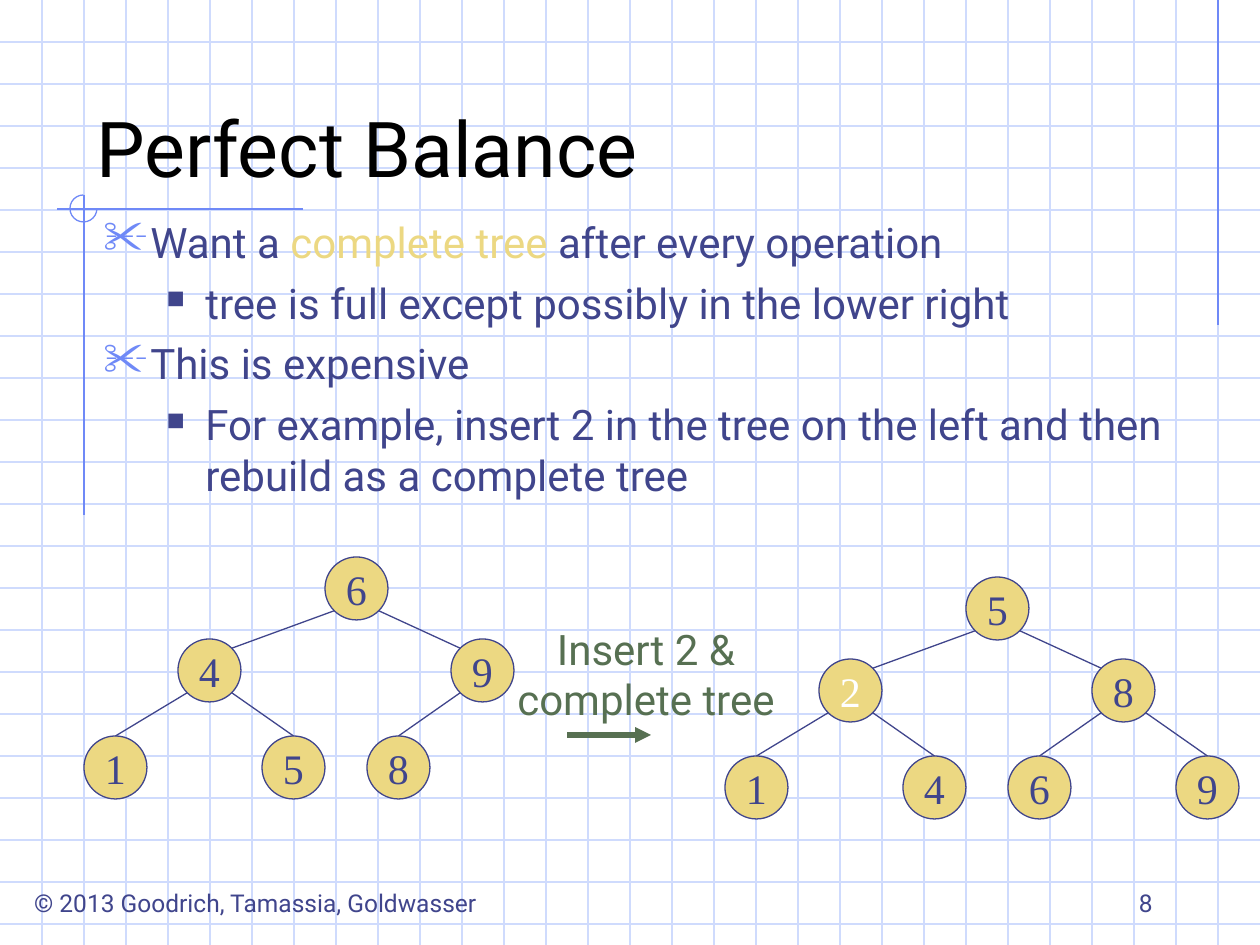
"""Build the Perfect Balance slide: two search trees before and after an insertion."""
import dataclasses
import math
import typing

import lxml.etree
import pptx
import pptx.dml.color
import pptx.enum.shapes
import pptx.enum.text
import pptx.oxml.ns
import pptx.util

RGBColor = pptx.dml.color.RGBColor
ALIGN = pptx.enum.text.PP_ALIGN
ANCHOR = pptx.enum.text.MSO_ANCHOR
SHAPE = pptx.enum.shapes.MSO_SHAPE

BLACK = RGBColor(0x00, 0x00, 0x00)
WHITE = RGBColor(0xFF, 0xFF, 0xFF)
GRID = RGBColor(0xCF, 0xDB, 0xFD)
ACCENT = RGBColor(0x6F, 0x89, 0xF7)
INK = RGBColor(0x40, 0x45, 0x8C)
GOLD = RGBColor(0xEC, 0xD8, 0x82)
GREEN = RGBColor(0x57, 0x70, 0x52)

SANS = "Roboto"
SERIF = "Times New Roman"
PX_PER_INCH = 126
WIDTH, HEIGHT, GRID_STEP = 1260, 945, 42
NODE = 63
SLOTS = [(0, 0), (-147, 82), (126, 82), (-241, 179), (-63, 179), (42, 179), (210, 179)]


@dataclasses.dataclass(frozen=True)
class Tree:
    """Keys in level order, the place of the root, and the key just inserted."""

    left: int
    top: int
    keys: str
    inserted: str = ""


@dataclasses.dataclass(frozen=True)
class Bullet:
    """Look of one outline level."""

    level: int
    mark: str
    color: RGBColor
    percent: int
    margin: int
    hanging: int


@dataclasses.dataclass(frozen=True)
class Line:
    """A straight stroke between two points."""

    x1: float
    y1: float
    x2: float
    y2: float
    color: RGBColor
    points: float = 0.75
    arrow: bool = False


POINT = Bullet(0, "✂", ACCENT, 110, 47, 47)
DETAIL = Bullet(1, "■", INK, 60, 102, 39)
OUTLINE = [
    (POINT, [("Want a ", INK), ("complete tree ", GOLD), ("after every operation", INK)]),
    (DETAIL, [("tree is full except possibly in the lower right", INK)]),
    (POINT, [("This is expensive", INK)]),
    (DETAIL, [("For example, insert 2 in the tree on the left and then rebuild as a complete tree", INK)]),
]
TREES = [Tree(325, 557, "649158"), Tree(966, 577, "5281469", inserted="2")]
DECORATION = [
    Line(1218, 0, 1218, 325, ACCENT),
    Line(303, 209, 57, 209, ACCENT),
    Line(84, 195, 84, 515, ACCENT),
]


def px(length: float) -> pptx.util.Emu:
    """Turn pixels into EMU."""
    return pptx.util.Emu(round(length * 914400 / PX_PER_INCH))


def add_element(parent: typing.Any, tag: str, **attributes: str) -> typing.Any:
    """Append a DrawingML element."""
    return lxml.etree.SubElement(parent, pptx.oxml.ns.qn(tag), attributes)


def write(paragraph: typing.Any, text: str, *, size: int = 24, font: str = SANS,
          color: RGBColor = INK, align: typing.Any = ALIGN.LEFT) -> None:
    """Append formatted text to a paragraph."""
    paragraph.alignment = align
    run = paragraph.add_run()
    run.text = text
    run.font.size = pptx.util.Pt(size)
    run.font.name = font
    run.font.color.rgb = color


def place(shape: typing.Any, left: int, top: int, width: int, height: int) -> None:
    """Move and size a shape."""
    shape.left, shape.top, shape.width, shape.height = map(px, (left, top, width, height))


def add_box(slide: typing.Any, left: int, top: int, width: int, height: int,
            wrap: bool = False, anchor: typing.Any = ANCHOR.TOP) -> typing.Any:
    """Add a text box and return its frame."""
    frame = slide.shapes.add_textbox(*map(px, (left, top, width, height))).text_frame
    frame.word_wrap = wrap
    frame.vertical_anchor = anchor
    return frame


def add_line(slide: typing.Any, line: Line) -> None:
    """Draw a line, with an arrowhead if it has one."""
    connector = slide.shapes.add_connector(
        pptx.enum.shapes.MSO_CONNECTOR.STRAIGHT, *map(px, (line.x1, line.y1, line.x2, line.y2)))
    connector.line.color.rgb = line.color
    connector.line.width = pptx.util.Pt(line.points)
    properties = connector.element.spPr
    if line.arrow:
        add_element(properties.find(pptx.oxml.ns.qn("a:ln")), "a:tailEnd", type="triangle")
    add_element(properties, "a:effectLst")


def add_round(slide: typing.Any, kind: typing.Any, left: int, top: int, size: int,
              color: RGBColor) -> typing.Any:
    """Add a round outline shape without shadow."""
    shape = slide.shapes.add_shape(kind, *map(px, (left, top, size, size)))
    shape.shadow.inherit = False
    shape.line.color.rgb = color
    shape.line.width = pptx.util.Pt(0.75)
    return shape


def add_background(slide: typing.Any) -> None:
    """Draw the squared paper and its blue margin marks."""
    for y in range(GRID_STEP, HEIGHT, GRID_STEP):
        add_line(slide, Line(0, y, WIDTH, y, GRID))
    for x in range(GRID_STEP, WIDTH, GRID_STEP):
        add_line(slide, Line(x, 0, x, HEIGHT, GRID))
    for line in DECORATION:
        add_line(slide, line)
    arc = add_round(slide, SHAPE.ARC, 70, 195, 27, ACCENT)
    arc.fill.background()
    arc.adjustments[0], arc.adjustments[1] = 0, 162


def add_title(slide: typing.Any) -> None:
    """Fill the title and bring it in front of the background."""
    title = slide.shapes.title
    place(title, 84, 42, 1071, 157)
    frame = title.text_frame
    frame.auto_size = pptx.enum.text.MSO_AUTO_SIZE.NONE
    frame.vertical_anchor = ANCHOR.BOTTOM
    write(frame.paragraphs[0], "Perfect Balance", size=44, color=BLACK)
    title.element.getparent().append(title.element)


def add_outline(slide: typing.Any) -> None:
    """Write the bulleted text."""
    frame = add_box(slide, 91, 210, 1121, 378, wrap=True)
    for index, (bullet, parts) in enumerate(OUTLINE):
        paragraph = frame.add_paragraph() if index else frame.paragraphs[0]
        paragraph.level = bullet.level
        if index:
            paragraph.space_before = pptx.util.Pt(6)
        properties = paragraph.element.get_or_add_pPr() if hasattr(paragraph, "element") else paragraph._p.get_or_add_pPr()
        properties.set("marL", str(px(bullet.margin)))
        properties.set("indent", str(px(-bullet.hanging)))
        add_element(add_element(properties, "a:buClr"), "a:srgbClr", val=str(bullet.color))
        add_element(properties, "a:buSzPct", val=str(bullet.percent * 1000))
        add_element(properties, "a:buChar", char=bullet.mark)
        for text, color in parts:
            write(paragraph, text, color=color)


def add_tree(slide: typing.Any, tree: Tree) -> None:
    """Draw the nodes of a tree and the edges to their parents."""
    radius = NODE / 2
    reach = radius * math.sqrt(0.5)
    centers = [(tree.left + x + radius, tree.top + y + radius) for x, y in SLOTS]
    for key, (x, y) in zip(tree.keys, SLOTS):
        node = add_round(slide, SHAPE.OVAL, tree.left + x, tree.top + y, NODE, INK)
        node.fill.solid()
        node.fill.fore_color.rgb = GOLD
        node.text_frame.word_wrap = False
        node.text_frame.vertical_anchor = ANCHOR.MIDDLE
        write(node.text_frame.paragraphs[0], key, font=SERIF, align=ALIGN.CENTER,
              color=WHITE if key == tree.inserted else INK)
    for child in range(1, len(tree.keys)):
        (x1, y1), (x2, y2) = centers[(child - 1) // 2], centers[child]
        side = math.copysign(reach, x2 - x1)
        end = (x2 - side, y2 - reach) if child < 3 else (x2, y2 - radius)
        add_line(slide, Line(x1 + side, y1 + reach, *end, INK))


def main() -> None:
    """Build and save the slide."""
    presentation = pptx.Presentation()
    presentation.slide_width, presentation.slide_height = px(WIDTH), px(HEIGHT)
    slide = presentation.slides.add_slide(presentation.slide_layouts[5])
    add_background(slide)
    footer = add_box(slide, 11, 882, 489, 43)
    write(footer.paragraphs[0], "© 2013 Goodrich, Tamassia, Goldwasser", size=14, align=ALIGN.CENTER)
    number = add_box(slide, 903, 861, 262, 63, wrap=True, anchor=ANCHOR.BOTTOM)
    write(number.paragraphs[0], "8", size=14, align=ALIGN.RIGHT)
    add_title(slide)
    add_outline(slide)
    caption = add_box(slide, 496, 617, 300, 113)
    write(caption.paragraphs[0], "Insert 2 &", color=GREEN, align=ALIGN.CENTER)
    write(caption.add_paragraph(), "complete tree", color=GREEN, align=ALIGN.CENTER)
    for tree in TREES:
        add_tree(slide, tree)
    add_line(slide, Line(567, 735, 651, 735, GREEN, points=3, arrow=True))
    presentation.save("out.pptx")


if __name__ == "__main__":
    main()
